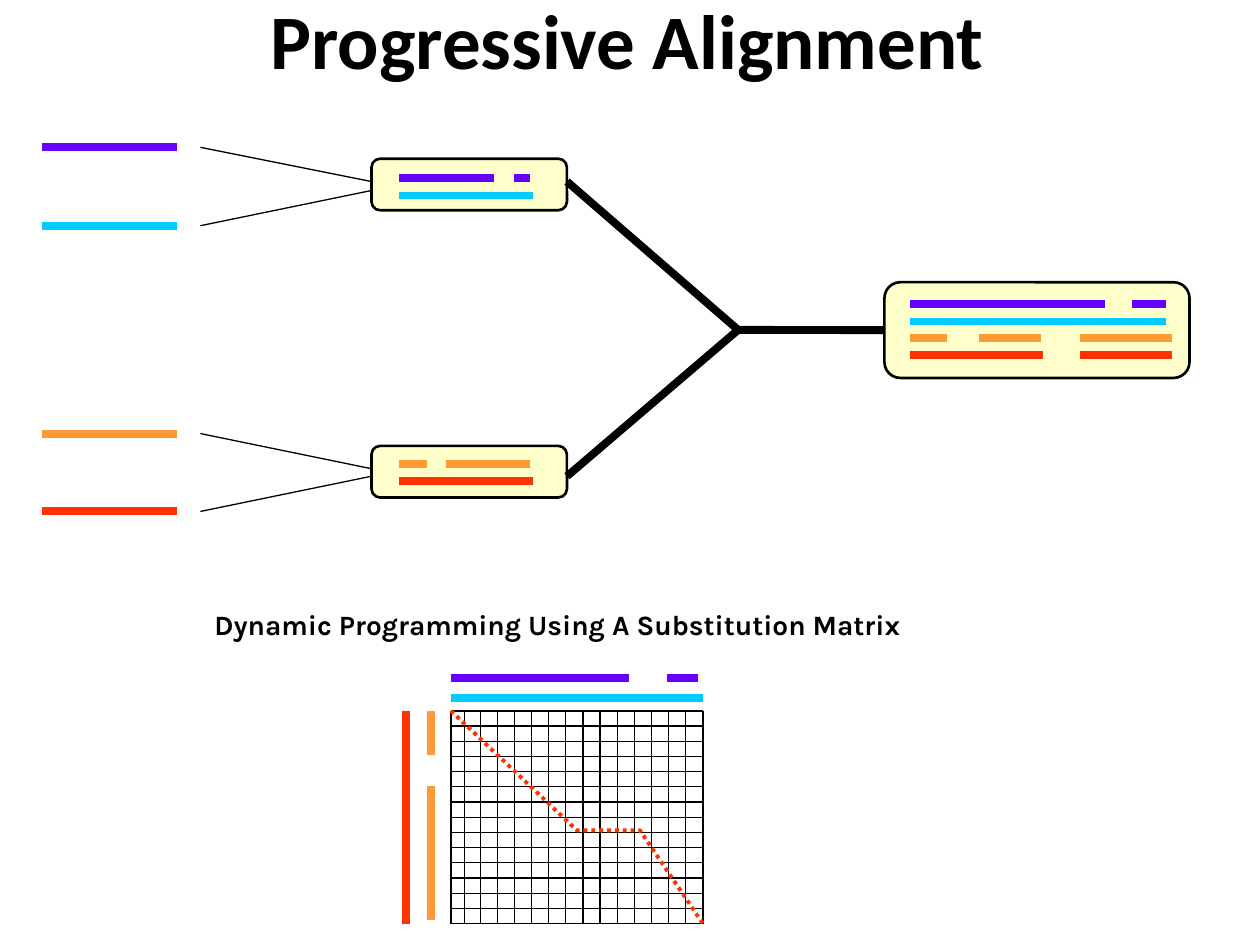
from typing import NamedTuple

from lxml.etree import SubElement
from pptx import Presentation
from pptx.dml.color import RGBColor
from pptx.enum.dml import MSO_LINE_DASH_STYLE as Dash
from pptx.enum.shapes import MSO_CONNECTOR as Conn, MSO_SHAPE as Shape
from pptx.enum.text import MSO_ANCHOR as Anchor, MSO_AUTO_SIZE as AutoSize, PP_ALIGN as Align
from pptx.oxml.ns import qn
from pptx.util import Cm, Pt

BLACK, CREAM = "000000", "FFFFCC"
PURPLE, CYAN, ORANGE, RED = "6600FF", "00CCFF", "FF9933", "FF3300"
THICK, THIN = 4.5, 0.75


class Line(NamedTuple):
    x1: float
    y1: float
    x2: float
    y2: float
    color: str = BLACK
    width: float = THIN


class Row(NamedTuple):
    """One aligned sequence: its colour, height and (start, end) segments."""
    color: str
    y: float
    segments: tuple


class Box(NamedTuple):
    x: float
    y: float
    w: float
    h: float
    rows: tuple


def rgb(value: str) -> RGBColor:
    return RGBColor.from_string(value)


def add_line(shapes, line: Line):
    c = shapes.add_connector(Conn.STRAIGHT, *map(Cm, line[:4]))
    c.line.color.rgb = rgb(line.color)
    c.line.width = Pt(line.width)
    SubElement(c._element.spPr, qn("a:effectLst"))
    return c


def add_row(shapes, row: Row) -> None:
    for start, end in row.segments:
        add_line(shapes, Line(start, row.y, end, row.y, row.color, THICK))


def add_box(shapes, box: Box):
    sp = shapes.add_shape(Shape.ROUNDED_RECTANGLE, *map(Cm, box[:4]))
    sp.shadow.inherit = False
    sp.fill.solid()
    sp.fill.fore_color.rgb = rgb(CREAM)
    sp.line.color.rgb = rgb(BLACK)
    sp.line.width = Pt(1.5)
    for row in box.rows:
        add_row(shapes, row)
    return sp


def write(tf, text: str, font: str, size: float) -> None:
    p = tf.paragraphs[0]
    p.alignment = Align.CENTER
    r = p.add_run()
    r.text = text
    r.font.name, r.font.size, r.font.bold = font, Pt(size), True
    r.font.color.rgb = rgb(BLACK)


prs = Presentation()
prs.slide_width, prs.slide_height = Cm(25.4), Cm(19.05)
slide = prs.slides.add_slide(prs.slide_layouts[5])
shapes = slide.shapes

# Title
title = shapes.title
title.left, title.top, title.width, title.height = map(Cm, (1.22, -0.81, 22.86, 3.18))
title.text_frame.vertical_anchor = Anchor.MIDDLE
write(title.text_frame, "Progressive Alignment", "Calibri", 44)

# Single sequences, each led to its pairwise box
for color, y, target in ((PURPLE, 2.97, 3.66), (CYAN, 4.55, 3.84),
                         (ORANGE, 8.74, 9.45), (RED, 10.31, 9.6)):
    add_row(shapes, Row(color, y, ((0.84, 3.56),)))
    add_line(shapes, Line(4.04, y, 7.49, target))

# Pairwise alignments
FULL = ((8.05, 10.74),)
add_box(shapes, Box(7.49, 3.2, 3.94, 1.04, (
    Row(PURPLE, 3.58, ((8.05, 9.96), (10.36, 10.69))),
    Row(CYAN, 3.94, FULL))))
add_box(shapes, Box(7.49, 8.99, 3.94, 1.04, (
    Row(ORANGE, 9.35, ((8.05, 8.61), (8.99, 10.69))),
    Row(RED, 9.7, FULL))))

# Final alignment
final = add_box(shapes, Box(17.83, 5.69, 6.15, 1.93, (
    Row(PURPLE, 6.12, ((18.34, 22.28), (22.81, 23.5))),
    Row(CYAN, 6.48, ((18.34, 23.5),)),
    Row(ORANGE, 6.81, ((18.34, 19.1), (19.74, 20.98), (21.77, 23.62))),
    Row(RED, 7.16, ((18.34, 21.03), (21.77, 23.62))))))

# Guide tree
NODE = (14.88, 6.65)
for y in (3.66, 9.6):
    add_line(shapes, Line(11.43, y, *NODE, width=THICK))
stem = add_line(shapes, Line(*NODE, 17.83, NODE[1], width=THICK))
stem.end_connect(final, 1)

# Matrix caption
caption = shapes.add_textbox(*map(Cm, (2.11, 12.12, 18.26, 0.71)))
caption.text_frame.word_wrap = False
caption.text_frame.auto_size = AutoSize.SHAPE_TO_FIT_TEXT
write(caption.text_frame, "Dynamic Programming Using A Substitution Matrix", "Karla", 16)

# Matrix grid: 14 equal rows; 2 narrow columns, then 13 equal ones
LEFT, TOP, RIGHT, BOTTOM = 9.09, 14.33, 14.17, 18.62
N_ROWS, N_COLS, FIRST_COL = 14, 13, 9.68
for i in range(N_ROWS + 1):
    y = TOP + i * (BOTTOM - TOP) / N_ROWS
    add_line(shapes, Line(LEFT, y, RIGHT, y))
columns = [LEFT, 9.37] + [FIRST_COL + i * (RIGHT - FIRST_COL) / N_COLS
                          for i in range(N_COLS + 1)]
for x in columns:
    add_line(shapes, Line(x, BOTTOM, x, TOP))

# Alignment path through the matrix
path_points = [(Cm(x), Cm(y)) for x, y in
               ((LEFT, TOP), (11.63, 16.74), (12.9, 16.74), (RIGHT, BOTTOM))]
builder = shapes.build_freeform(*path_points[0])
builder.add_line_segments(path_points[1:], close=False)
trace = builder.convert_to_shape()
trace.shadow.inherit = False
trace.fill.background()
trace.line.color.rgb = rgb(RED)
trace.line.width = Pt(2.25)
trace.line.dash_style = Dash.ROUND_DOT

# Sequences along the matrix edges
add_row(shapes, Row(PURPLE, 13.67, ((LEFT, 12.67), (13.44, 14.07))))
add_row(shapes, Row(CYAN, 14.07, ((LEFT, RIGHT),)))
for color, x, y1, y2 in ((RED, 8.18, TOP, BOTTOM), (ORANGE, 8.69, TOP, 15.21),
                         (ORANGE, 8.69, 15.85, 18.54)):
    add_line(shapes, Line(x, y1, x, y2, color, THICK))

prs.save("out.pptx")
